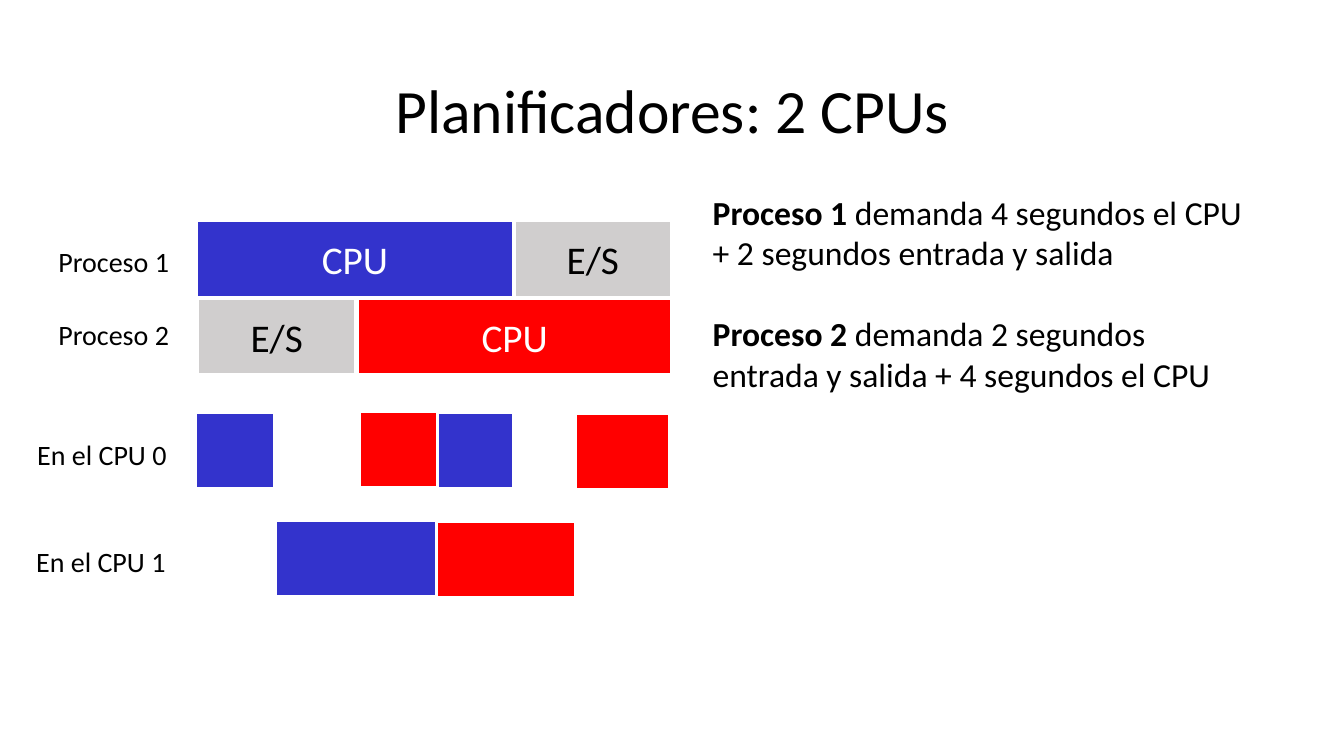
from pptx import Presentation
from pptx.dml.color import RGBColor
from pptx.enum import shapes, text
from pptx.util import Inches, Pt

TITLE = "Planificadores: 2 CPUs"
COLORS = {"blue": "3333CC", "red": "FF0000", "gray": "D0CECE",
          "white": "FFFFFF", "black": "000000"}
FONT = "Calibri"
BAR_H = 0.76

# label, (left, top, width), wraps
LABELS = [
    ("Proceso 1", (0.48, 2.38, 1.31), False),
    ("Proceso 2", (0.48, 3.1, 1.31), False),
    ("En el CPU 0", (0.27, 4.29, 1.71), True),
    ("En el CPU 1", (0.26, 5.35, 1.71), True),
]
# left, top, width, fill, label, label colour
BARS = [
    (1.95, 2.19, 3.14, "blue", "CPU", "white"),
    (3.55, 2.96, 3.11, "red", "CPU", "white"),
    (5.1, 2.19, 1.56, "gray", "E/S", "black"),
    (1.96, 2.96, 1.57, "gray", "E/S", "black"),
    (1.94, 4.09, 0.78, "blue", "", "white"),
    (2.73, 5.16, 1.6, "blue", "", "white"),
    (4.33, 4.09, 0.76, "blue", "", "white"),
    (3.57, 4.08, 0.77, "red", "", "white"),
    (4.33, 5.17, 1.38, "red", "", "white"),
    (5.71, 4.1, 0.93, "red", "", "white"),
]
NOTES = [
    ("Proceso 1", " demanda 4 segundos el CPU + 2 segundos entrada y salida"),
    ("Proceso 2", " demanda 2 segundos entrada y salida + 4 segundos el CPU"),
]


def color(name):
    return RGBColor.from_string(COLORS[name])


def style(run, size, tint="black", bold=False):
    font = run.font
    font.name, font.size, font.bold = FONT, Pt(size), bold
    font.color.rgb = color(tint)


def add_box(slide, left, top, width, height, wrap=True):
    box = slide.shapes.add_textbox(*map(Inches, (left, top, width, height)))
    frame = box.text_frame
    frame.word_wrap = wrap
    frame.auto_size = text.MSO_AUTO_SIZE.SHAPE_TO_FIT_TEXT
    return frame


def add_title(slide):
    title = slide.shapes.title
    title.left, title.top, title.width, title.height = map(
        Inches, (0.92, 0.4, 11.5, 1.45))
    frame = title.text_frame
    frame.text = TITLE
    frame.vertical_anchor = text.MSO_ANCHOR.MIDDLE
    para = frame.paragraphs[0]
    para.alignment = text.PP_ALIGN.CENTER
    para.line_spacing = 0.9
    style(para.runs[0], 44)


def add_bar(slide, left, top, width, fill, label, tint):
    bar = slide.shapes.add_shape(
        shapes.MSO_SHAPE.RECTANGLE, *map(Inches, (left, top, width, BAR_H)))
    bar.shadow.inherit = False
    bar.fill.solid()
    bar.fill.fore_color.rgb = color(fill)
    bar.line.color.rgb = color("white")
    bar.line.width = Pt(2.25)
    if label:
        frame = bar.text_frame
        frame.text = label
        frame.vertical_anchor = text.MSO_ANCHOR.MIDDLE
        para = frame.paragraphs[0]
        para.alignment = text.PP_ALIGN.CENTER
        style(para.runs[0], 28, tint)


def add_notes(slide):
    frame = add_box(slide, 6.97, 1.85, 5.45, 2.12)
    for i, (name, need) in enumerate(NOTES):
        para = frame.add_paragraph() if i else frame.paragraphs[0]
        if i:
            para.space_before = Pt(29.3)
        for words, bold in ((name, True), (need, False)):
            run = para.add_run()
            run.text = words
            style(run, 24, bold=bold)


def main():
    deck = Presentation()
    deck.slide_width, deck.slide_height = Inches(13.33), Inches(7.5)
    slide = deck.slides.add_slide(deck.slide_layouts[5])
    add_title(slide)
    for bar in BARS:
        add_bar(slide, *bar)
    for label, place, wrap in LABELS:
        frame = add_box(slide, *place, 0.44, wrap)
        frame.text = label
        style(frame.paragraphs[0].runs[0], 20)
    add_notes(slide)
    deck.save("out.pptx")


if __name__ == "__main__":
    main()
